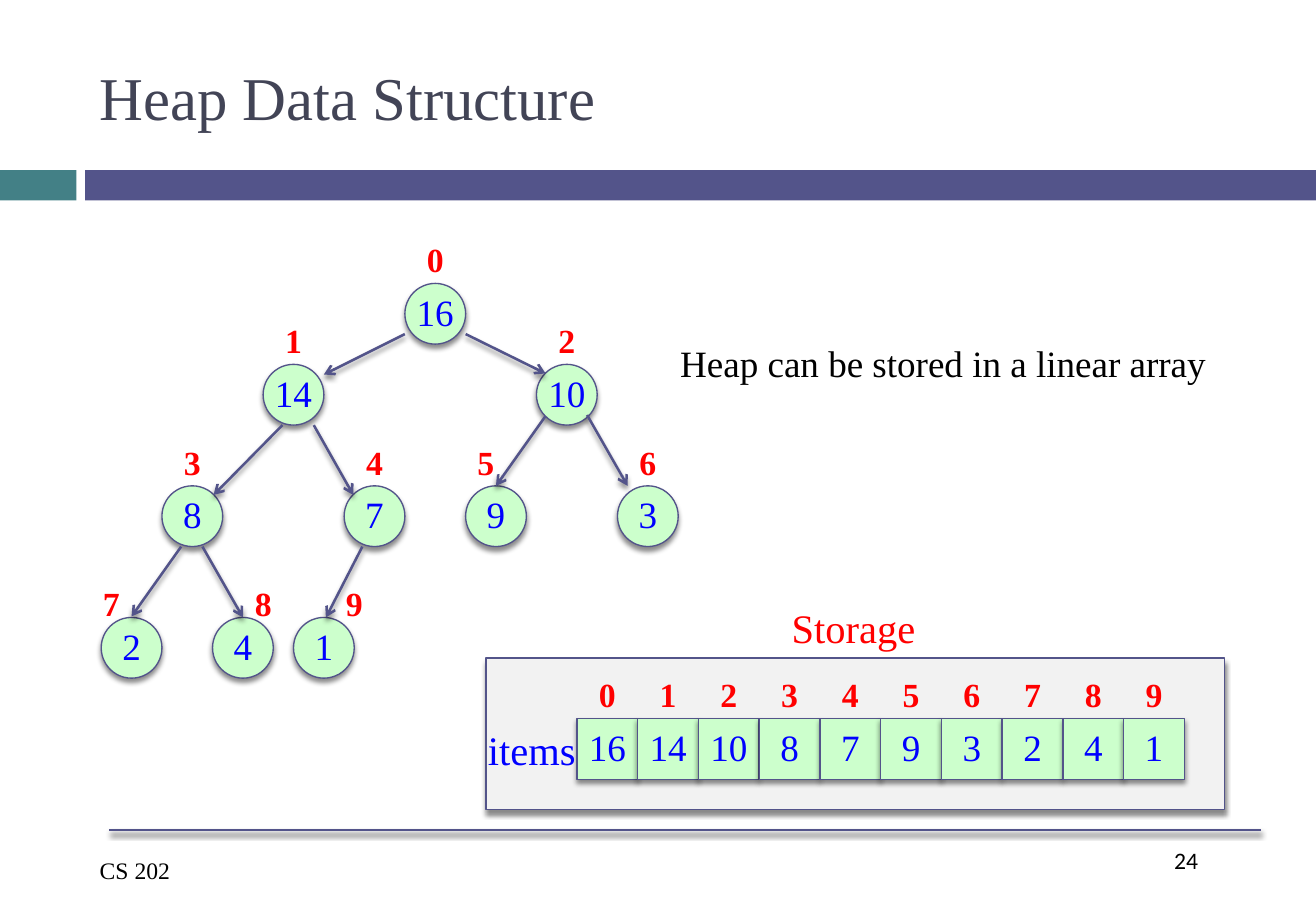
from lxml.etree import SubElement
from pptx import Presentation
from pptx.dml.color import RGBColor
from pptx.enum.shapes import MSO_CONNECTOR, MSO_SHAPE
from pptx.enum.text import MSO_ANCHOR, PP_ALIGN
from pptx.oxml import parse_xml
from pptx.oxml.ns import nsdecls, qn
from pptx.util import Inches, Pt

COLS, ROWS = 130, 90
CELL = Inches(1 / 12)
SIDE = 6  # cells across a node or an array slot

SERIF, SANS = "Times New Roman", "Calibri"
THEME = {
    "fill": {"teal": "438086", "violet": "53548A", "mint": "CCFFCC", "grey": "F2F2F2"},
    "line": {"edge": 0.79, "arrow": 1.5},
    # font name, size, colour, bold, alignment
    "title": (SERIF, 36, "424456", False, PP_ALIGN.LEFT),
    "value": (SERIF, 22, "0000FF", False, PP_ALIGN.CENTER),
    "index": (SERIF, 20, "FF0000", True, PP_ALIGN.CENTER),
    "items": (SERIF, 24, "0000FF", False, PP_ALIGN.LEFT),
    "store": (SERIF, 24, "FF0000", False, PP_ALIGN.LEFT),
    "note": (SERIF, 22, "000000", False, PP_ALIGN.LEFT),
    "foot": (SERIF, 14, "000000", False, PP_ALIGN.LEFT),
    "page": (SANS, 14, "000000", False, PP_ALIGN.LEFT),
}
TINT = {name: RGBColor.from_string(code) for name, code in THEME["fill"].items()}
SHADOW = (
    f'<a:effectLst {nsdecls("a")}><a:outerShdw blurRad="38100" dist="30000" '
    'dir="5400000" rotWithShape="0"><a:srgbClr val="000000"><a:alpha val="45000"/>'
    "</a:srgbClr></a:outerShdw></a:effectLst>"
)

deck = Presentation()
deck.slide_width, deck.slide_height = COLS * CELL, ROWS * CELL
slide = deck.slides.add_slide(deck.slide_layouts[6])
shapes = slide.shapes


def write(shape, words, style, **form):
    """Put styled words in a shape; form overrides the frame's format."""
    name, size, tint, bold, align = THEME[style]
    frame = shape.text_frame
    base = {"margin_left": 0, "margin_right": 0, "word_wrap": True,
            "vertical_anchor": MSO_ANCHOR.TOP}
    for key, val in {**base, **form}.items():
        setattr(frame, key, val)
    part = frame.paragraphs[0]
    part.alignment = align
    run = part.add_run()
    run.text = words
    for key, val in {"name": name, "size": Pt(size), "bold": bold}.items():
        setattr(run.font, key, val)
    run.font.color.rgb = RGBColor.from_string(tint)


def block(kind, area, tint, edge=True):
    """Add a filled shape on the grid, with an edge and shadow if asked."""
    shape = shapes.add_shape(kind, *(int(n * CELL) for n in area))
    shape.shadow.inherit = False
    shape.fill.solid()
    shape.fill.fore_color.rgb = TINT[tint]
    if edge:
        shape.line.color.rgb = TINT["violet"]
        shape.line.width = Pt(THEME["line"]["edge"])
        props = shape._element.spPr
        props.replace(props.find(qn("a:effectLst")), parse_xml(SHADOW))
    else:
        shape.line.fill.background()
    return shape


# Title band and storage panel
block(MSO_SHAPE.RECTANGLE, (0, 16.8, 7.56, 3), "teal", edge=False)
block(MSO_SHAPE.RECTANGLE, (8.4, 16.8, COLS - 8.4, 3), "violet", edge=False)
block(MSO_SHAPE.RECTANGLE, (48, 65, 73, 15), "grey")

# Heap order: value, node column and row, shift of the index label from the node
HEAP = [
    (16, 40, 28, 1, -5),
    (14, 26, 36, 1, -5), (10, 53, 36, 1, -5),
    (8, 16, 48, 1, -5), (7, 34, 48, 1, -5), (9, 46, 48, 0, -5), (3, 61, 48, 1, -5),
    (2, 10, 61, -1, -4), (4, 21, 61, 3, -4), (1, 29, 61, 4, -4),
]
SLOT_COL, SLOT_ROW = 57, 71
texts = [
    ("Heap Data Structure", "title", (9.85, 3, 113, 13), MSO_ANCHOR.MIDDLE),
    ("Heap can be stored in a linear array", "note", (67.2, 33, 53, 5.6), MSO_ANCHOR.TOP),
    ("Storage", "store", (78.2, 59, 14, 6), MSO_ANCHOR.TOP),
    ("items", "items", (48.2, 71, 9, 6), MSO_ANCHOR.TOP),
    ("CS 202", "foot", (9.85, 84, 22, 4), MSO_ANCHOR.TOP),
    ("24", "page", (116, 83, 8, 6), MSO_ANCHOR.TOP),
]
for i, (value, col, row, right, down) in enumerate(HEAP):
    slot = SLOT_COL + i * SIDE
    for kind, left, top in ((MSO_SHAPE.OVAL, col, row),
                            (MSO_SHAPE.RECTANGLE, slot, SLOT_ROW)):
        node = block(kind, (left, top, SIDE, SIDE), "mint")
        write(node, str(value), "value", word_wrap=False, margin_top=0,
              margin_bottom=Inches(0.04), vertical_anchor=MSO_ANCHOR.MIDDLE)
    for left, top in ((col + right, row + down), (slot + 1, SLOT_ROW - 5)):
        texts.append((str(i), "index", (left, top, 4, 5.2), MSO_ANCHOR.TOP))

# Arrows from parent to child, then the footer rule
ARROWS = [
    (40, 33, 32, 37), (46, 33, 53.9, 36.9),
    (27.9, 42, 21.1, 48.9), (31, 42, 34.9, 48.9),
    (53.9, 41.1, 49, 48), (58, 41, 62, 48),
    (17.9, 54, 13, 60.9), (20, 54, 24, 61), (35.8, 54, 32.2, 61),
]
RULE = (10.8, 82, 124.6, 82)
for ends in ARROWS + [RULE]:
    link = shapes.add_connector(MSO_CONNECTOR.STRAIGHT, *(int(n * CELL) for n in ends))
    link.line.color.rgb = TINT["violet"]
    link.line.width = Pt(THEME["line"]["arrow"])
    props = link._element.spPr
    if ends != RULE:
        SubElement(props.find(qn("a:ln")), qn("a:tailEnd"), type="arrow")
    props.append(parse_xml(SHADOW))

for words, style, area, anchor in texts:
    box = shapes.add_textbox(*(int(n * CELL) for n in area))
    write(box, words, style, vertical_anchor=anchor)

deck.save("out.pptx")
